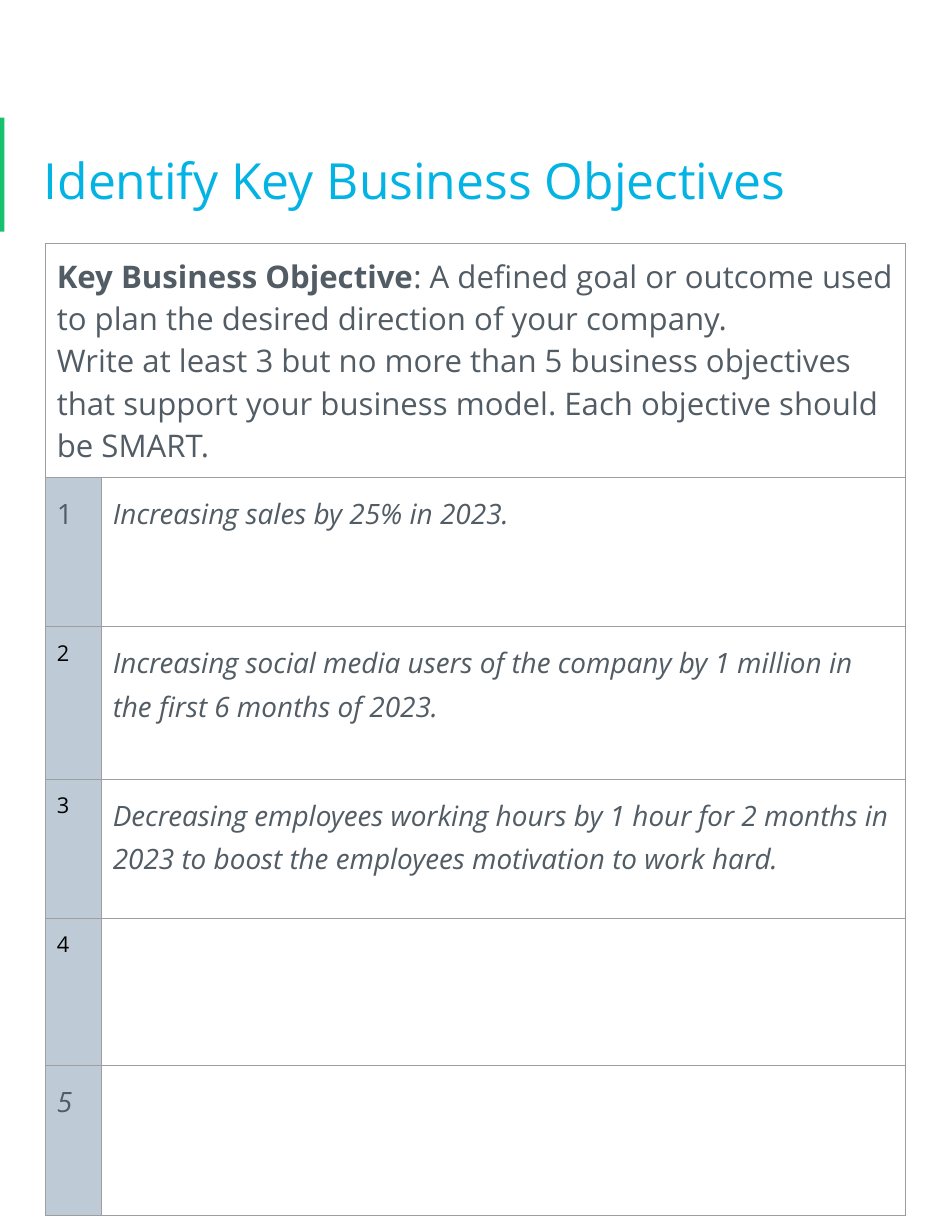
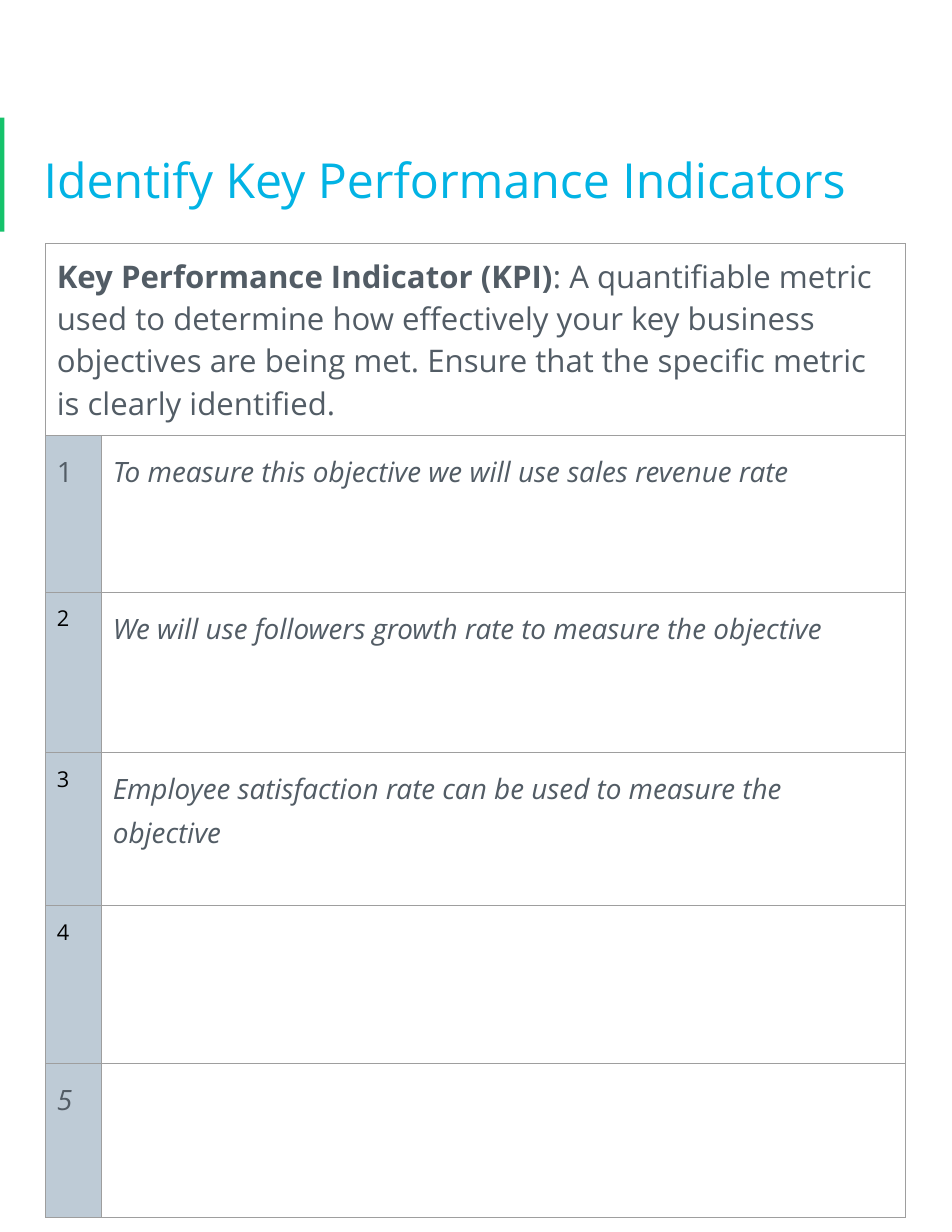
from dataclasses import dataclass

from lxml.etree import SubElement
from pptx import Presentation
from pptx.dml.color import RGBColor
from pptx.enum.shapes import MSO_SHAPE as Preset
from pptx.enum.text import MSO_ANCHOR as Anchor, MSO_AUTO_SIZE as AutoSize, PP_ALIGN as Align
from pptx.oxml.ns import qn
from pptx.util import Pt

# Shared style
FONT = "Open Sans"
BLUE, GREEN, SLATE = "02B3E4", "15C26B", "525C65"
BLACK, WHITE, STEEL, GRAY = "000000", "FFFFFF", "BECBD6", "9E9E9E"
INSET = Pt(7.2)
LOOSE = 1.15
TITLE_ONLY = 5
NUMBER_WIDTH, ENTRY_WIDTH = 36, 517


@dataclass(frozen=True)
class Worksheet:
    title: str
    title_size: int
    term: str
    definition: str
    entries: tuple[str, ...]
    heights: tuple[float, ...]


WORKSHEETS = (
    Worksheet(
        "Identify Key Business Objectives", 32,
        "Key Business Objective",
        ": A defined goal or outcome used to plan the desired direction of your company.\n"
        "Write at least 3 but no more than 5 business objectives that support your "
        "business model. Each objective should be SMART.",
        ("Increasing sales by 25% in 2023.",
         "Increasing social media users of the company by 1 million in the first "
         "6 months of 2023.",
         "Decreasing employees working hours by 1 hour for 2 months in 2023 to boost "
         "the employees motivation to work hard.",
         "", ""),
        (150.5, 95.5, 98.3, 89.3, 94.8, 96),
    ),
    Worksheet(
        "Identify Key Performance Indicators", 31,
        "Key Performance Indicator (KPI)",
        ": A quantifiable metric used to determine how effectively your key business "
        "objectives are being met. Ensure that the specific metric is clearly identified.",
        ("To measure this objective we will use sales revenue rate",
         "We will use followers growth rate to measure the objective",
         "Employee satisfaction rate can be used to measure the objective",
         "", ""),
        (123.4, 100.8, 103, 98.6, 101.5, 98.6),
    ),
)


def color(value: str) -> RGBColor:
    return RGBColor.from_string(value)


def add_text(para, text: str, *, size: float = 18, ink: str = SLATE, bold: bool = False,
             italic: bool = False, spacing: float | None = None) -> None:
    """Append formatted text; each newline becomes a line break."""
    if spacing:
        para.line_spacing = spacing
    for index, line in enumerate(text.split("\n")):
        if index:
            para.add_line_break()
        span = para.add_run()
        span.text = line
        font = span.font
        font.name, font.size, font.bold, font.italic = FONT, Pt(size), bold, italic
        font.color.rgb = color(ink)


def style_cell(cell, fill: str, anchor=Anchor.TOP) -> None:
    """Set the insets, anchor, thin border and fill of a cell."""
    cell.margin_left = cell.margin_right = INSET
    cell.margin_top = cell.margin_bottom = INSET
    cell.vertical_anchor = anchor
    properties = cell._tc.get_or_add_tcPr()
    for side in ("a:lnL", "a:lnR", "a:lnT", "a:lnB"):
        line = SubElement(properties, qn(side), w=str(Pt(0.75)))
        paint = SubElement(line, qn("a:solidFill"))
        SubElement(paint, qn("a:srgbClr"), val=GRAY)
    cell.fill.solid()
    cell.fill.fore_color.rgb = color(fill)


def add_heading(page, sheet: Worksheet) -> None:
    # Accent band on the left edge
    band = page.shapes.add_shape(Preset.RECTANGLE, 0, Pt(75.6), Pt(2.9), Pt(73.4))
    band.shadow.inherit = False
    band.fill.solid()
    band.fill.fore_color.rgb = color(GREEN)
    band.line.fill.background()

    # Title
    title = page.shapes.title
    title.left, title.top, title.width, title.height = Pt(20.9), Pt(68.4), Pt(570.2), Pt(87.8)
    frame = title.text_frame
    frame.margin_left = frame.margin_right = INSET
    frame.margin_top = frame.margin_bottom = INSET
    frame.vertical_anchor = Anchor.MIDDLE
    frame.auto_size = AutoSize.NONE
    frame.word_wrap = True
    para = frame.paragraphs[0]
    para.alignment = Align.LEFT
    add_text(para, sheet.title, size=sheet.title_size, ink=BLUE, spacing=LOOSE)


def add_worksheet_table(page, sheet: Worksheet) -> None:
    table = page.shapes.add_table(
        len(sheet.heights), 2, Pt(29.3), Pt(156.6),
        Pt(NUMBER_WIDTH + ENTRY_WIDTH), Pt(sum(sheet.heights))).table
    table.first_row = table.horz_banding = False
    table.columns[0].width, table.columns[1].width = Pt(NUMBER_WIDTH), Pt(ENTRY_WIDTH)
    for row, height in zip(table.rows, sheet.heights):
        row.height = Pt(height)

    # Definition across both columns
    header = table.cell(0, 0)
    header.merge(table.cell(0, 1))
    for cell in table.rows[0].cells:
        style_cell(cell, WHITE, Anchor.MIDDLE)
    para = header.text_frame.paragraphs[0]
    add_text(para, sheet.term, size=20, bold=True)
    add_text(para, sheet.definition, size=20)

    # Numbered entries; the first and last numbers are larger
    last = len(sheet.entries)
    for number, entry in enumerate(sheet.entries, start=1):
        number_cell, entry_cell = table.cell(number, 0), table.cell(number, 1)
        style_cell(number_cell, STEEL)
        style_cell(entry_cell, WHITE)
        para = number_cell.text_frame.paragraphs[0]
        if number in (1, last):
            add_text(para, str(number), italic=number == last, spacing=LOOSE)
        else:
            add_text(para, str(number), size=14, ink=BLACK)
        if entry:
            add_text(entry_cell.text_frame.paragraphs[0], entry, italic=True, spacing=LOOSE)


def main() -> None:
    deck = Presentation()
    deck.slide_width, deck.slide_height = Pt(612), Pt(792)
    for sheet in WORKSHEETS:
        page = deck.slides.add_slide(deck.slide_layouts[TITLE_ONLY])
        add_heading(page, sheet)
        add_worksheet_table(page, sheet)
    deck.save("out.pptx")


if __name__ == "__main__":
    main()
